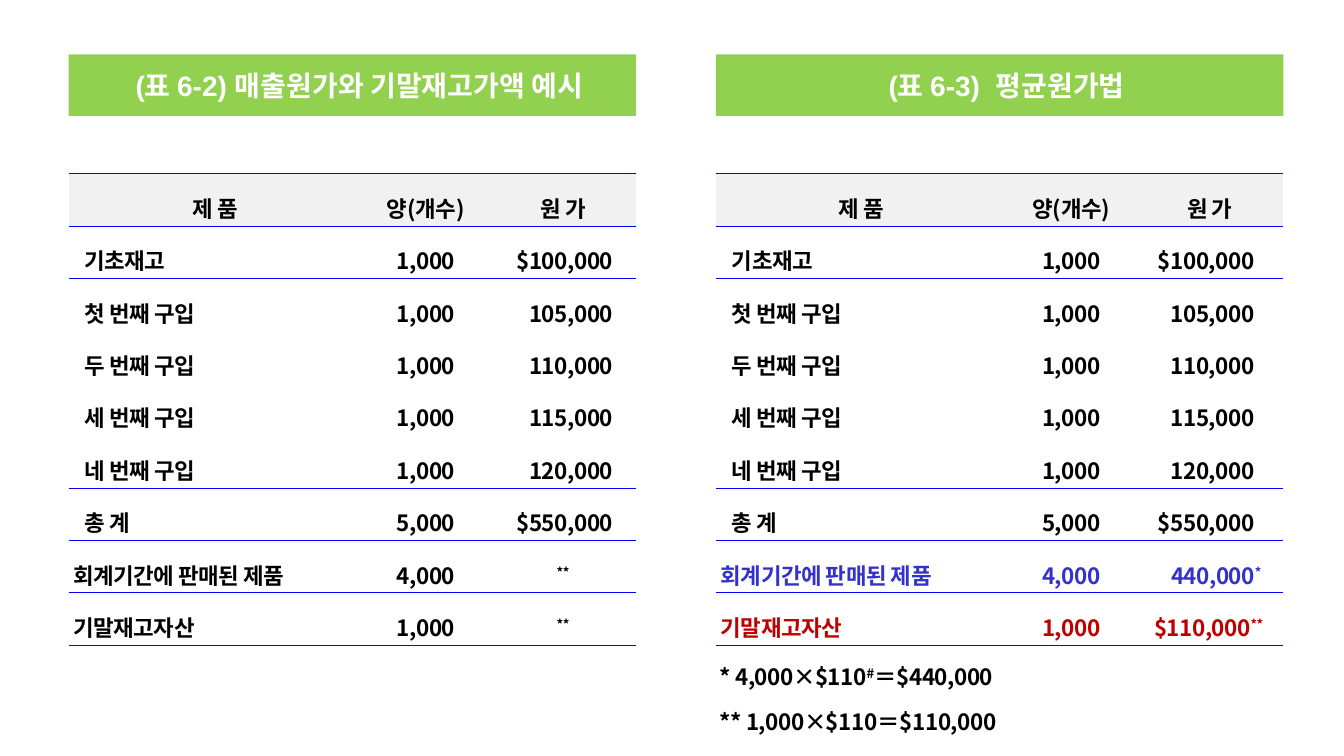
from dataclasses import dataclass

from lxml import etree
from pptx import Presentation
from pptx.dml.color import RGBColor
from pptx.enum.shapes import MSO_SHAPE
from pptx.enum.text import MSO_ANCHOR, MSO_AUTO_SIZE, PP_ALIGN
from pptx.oxml.ns import qn
from pptx.util import Inches, Pt

CENTER, RIGHT, JUSTIFY = PP_ALIGN.CENTER, PP_ALIGN.RIGHT, PP_ALIGN.JUSTIFY
MIDDLE, TOP = MSO_ANCHOR.MIDDLE, MSO_ANCHOR.TOP
NO_AUTOFIT = MSO_AUTO_SIZE.NONE
RECTANGLE = MSO_SHAPE.RECTANGLE
KOREAN_FONT, LATIN_FONT = "Noto Sans CJK KR", "Arial"
GREEN, WHITE, BLACK, GRAY = "92D050", "FFFFFF", "000000", "F1F1F1"
RULE_BLUE, SOLD_BLUE, STOCK_RED = "0000FF", "3333CC", "C00000"
PLAIN_STYLE = "{2D5ABB26-0587-4C30-8999-92F81FD0307C}"
PANEL_WIDTH, ROW_HEIGHT, CELL_MARGIN = 5.63, 0.43, 0.02
BANNER_TOP, BANNER_HEIGHT, TABLE_TOP = 0.54, 0.61, 1.72
HEADINGS = ("제 품", "양(개수)", "원 가")


@dataclass
class Row:
    label: str
    quantity: str
    cost: str = ""
    mark: str = ""
    color: str = BLACK
    indent: float = 0.14
    cost_margin: float | None = None


@dataclass
class Panel:
    left: float
    title: str
    columns: tuple[float, float, float]
    cost_margin: float
    results: list[Row]
    formulas: list[list[str]]
    formula_height: float


PURCHASES = [
    Row("기초재고", "1,000", "$100,000"),
    Row("첫 번째 구입", "1,000", "105,000"),
    Row("두 번째 구입", "1,000", "110,000"),
    Row("세 번째 구입", "1,000", "115,000"),
    Row("네 번째 구입", "1,000", "120,000"),
    Row("총 계", "5,000", "$550,000"),
]
SOLD, STOCK = "회계기간에 판매된 제품", "기말재고자산"
PANELS = [
    Panel(0.68, "(표 6-2) 매출원가와 기말재고가액 예시", (2.91, 1.27, 1.45), 0.23,
          [Row(SOLD, "4,000", mark="**", indent=0.03),
           Row(STOCK, "1,000", mark="**", indent=0.03)], [], 0.72),
    Panel(7.1, "(표 6-3)  평균원가법", (2.88, 1.29, 1.46), 0.29,
          [Row(SOLD, "4,000", "440,000", "*", SOLD_BLUE, 0.03, 0.22),
           Row(STOCK, "1,000", "$110,000", "**", STOCK_RED, 0.03, 0.2)],
          [["* 4,000×$110", "#", "＝$440,000"], ["** 1,000×$110＝$110,000"]], 1.07),
]


def rgb(color: str) -> RGBColor:
    return RGBColor.from_string(color)


def write(para, parts: list[str], *, size: float = 16, font: str = KOREAN_FONT,
          color: str = BLACK, align=CENTER, left: float = 0, indent: float = 0,
          line: float = 1.5, spacing: int = -30) -> None:
    """Write the parts in turn, with every second one raised as a superscript."""
    para.alignment, para.line_spacing, para.space_before = align, line, Pt(0)
    properties = para._p.get_or_add_pPr()
    properties.set("marL", str(Inches(left)))
    properties.set("indent", str(Inches(indent)))
    for index, part in enumerate(parts):
        if not part:
            continue
        span = para.add_run()
        span.text = part
        span.font.size, span.font.bold, span.font.name = Pt(size), True, font
        span.font.color.rgb = rgb(color)
        run_properties = span._r.get_or_add_rPr()
        run_properties.set("spc", str(spacing))
        if index % 2:
            run_properties.set("baseline", "30000")
        etree.SubElement(run_properties, qn("a:ea"), typeface=KOREAN_FONT)


def format_banner(shape, panel: Panel) -> None:
    shape.left, shape.top = Inches(panel.left), Inches(BANNER_TOP)
    shape.width, shape.height = Inches(PANEL_WIDTH), Inches(BANNER_HEIGHT)
    shape.shadow.inherit = False
    shape.fill.solid()
    shape.fill.fore_color.rgb = rgb(GREEN)
    shape.line.fill.background()
    frame = shape.text_frame
    frame.word_wrap, frame.auto_size, frame.vertical_anchor = True, NO_AUTOFIT, MIDDLE
    write(frame.paragraphs[0], [panel.title], size=20, font=LATIN_FONT, color=WHITE,
          indent=0.14, line=1.0, spacing=0)


def format_cell(cell, fill: str | None = None, edges: tuple[str, ...] = (),
                right: float = CELL_MARGIN) -> None:
    """Set margins, fill and the ruled edges, given as lnT or lnB."""
    cell.margin_left = cell.margin_top = cell.margin_bottom = Inches(CELL_MARGIN)
    cell.margin_right = Inches(right)
    cell.vertical_anchor = MIDDLE
    if fill:
        cell.fill.solid()
        cell.fill.fore_color.rgb = rgb(fill)
    else:
        cell.fill.background()
    properties = cell._tc.get_or_add_tcPr()
    for position, edge in enumerate(edges):
        border = etree.Element(qn(f"a:{edge}"), w=str(Pt(0.28)))
        solid = etree.SubElement(border, qn("a:solidFill"))
        etree.SubElement(solid, qn("a:srgbClr"), val=RULE_BLUE)
        properties.insert(position, border)


def add_inventory_table(page, panel: Panel) -> None:
    rows = PURCHASES + panel.results
    last = len(rows) + 1
    height = ROW_HEIGHT * last + panel.formula_height
    frame = page.shapes.add_table(last + 1, 3, Inches(panel.left), Inches(TABLE_TOP),
                                  Inches(PANEL_WIDTH), Inches(height))
    table = frame.table
    table.first_row = table.horz_banding = False
    table._tbl.tblPr.find(qn("a:tableStyleId")).text = PLAIN_STYLE
    for column, width in zip(table.columns, panel.columns):
        column.width = Inches(width)
    for table_row in table.rows:
        table_row.height = Inches(ROW_HEIGHT)
    table.rows[last].height = Inches(panel.formula_height)

    for column, heading in enumerate(HEADINGS):
        cell = table.cell(0, column)
        format_cell(cell, GRAY, ("lnT", "lnB"))
        write(cell.text_frame.paragraphs[0], [heading])

    for number, row in enumerate(rows, start=1):
        edges = ("lnT",) if number == 1 else ()
        if number >= len(PURCHASES) - 1:
            edges = ("lnB",) if number == len(PURCHASES) - 1 else ("lnT", "lnB")
        cells = [table.cell(number, column) for column in range(3)]
        margin = row.cost_margin or panel.cost_margin
        for cell, right in zip(cells, (CELL_MARGIN, CELL_MARGIN,
                                       margin if row.cost else CELL_MARGIN)):
            format_cell(cell, edges=edges, right=right)
        label, quantity, cost = (cell.text_frame.paragraphs[0] for cell in cells)
        write(label, [row.label], color=row.color, align=JUSTIFY, left=row.indent)
        write(quantity, [row.quantity], color=row.color)
        write(cost, [row.cost, row.mark], color=row.color,
              align=RIGHT if row.cost else CENTER)

    formula_cell = table.cell(last, 0)
    formula_cell.merge(table.cell(last, 2))
    for column in range(3):
        format_cell(table.cell(last, column), edges=("lnT",))
    formula_cell.vertical_anchor = TOP
    text = formula_cell.text_frame
    for index, parts in enumerate(panel.formulas):
        para = text.add_paragraph() if index else text.paragraphs[0]
        write(para, parts, align=JUSTIFY, left=0.14, indent=-0.12, line=1.4)


def main() -> None:
    deck = Presentation()
    deck.slide_width, deck.slide_height = Inches(13.33), Inches(7.5)
    page = deck.slides.add_slide(deck.slide_layouts[5])
    for panel in PANELS:
        if panel is PANELS[0]:
            banner = page.shapes.title
        else:
            banner = page.shapes.add_shape(RECTANGLE, 0, 0, 0, 0)
        format_banner(banner, panel)
        add_inventory_table(page, panel)
    deck.save("out.pptx")


if __name__ == "__main__":
    main()
